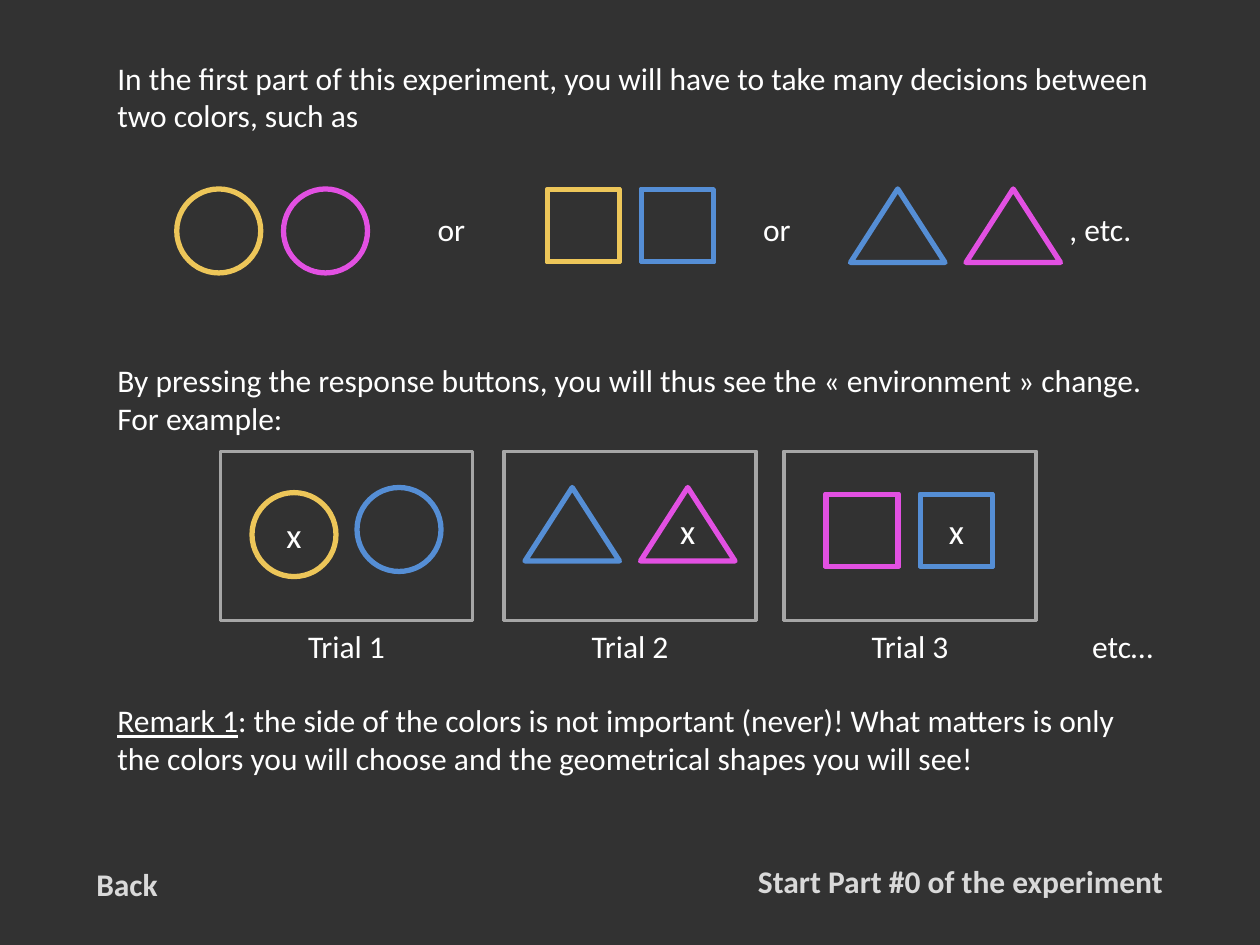
from lxml import etree
from pptx import Presentation
from pptx.dml.color import RGBColor
from pptx.enum.shapes import MSO_SHAPE
from pptx.enum.text import MSO_AUTO_SIZE, PP_ALIGN
from pptx.oxml.ns import qn
from pptx.util import Pt

LEFT, MID = PP_ALIGN.LEFT, PP_ALIGN.CENTER
FIT = MSO_AUTO_SIZE.SHAPE_TO_FIT_TEXT
RING, SQUARE = MSO_SHAPE.OVAL, MSO_SHAPE.FRAME
TRI = MSO_SHAPE.ISOSCELES_TRIANGLE

COLORS = {"back": "323232", "white": "FFFFFF", "pale": "D9D9D9",
          "gray": "A6A6A6", "card": "404040", "gold": "EDC659",
          "pink": "E250E2", "blue": "558ED5"}
FONT = "Calibri"

# preset: width, height, line width, frame thickness
FORMS = {RING: (48, 48, 3, None), SQUARE: (42, 42, 2, 0.022),
         TRI: (54, 42, 3, None)}

# space before, runs as (text, underlined)
BODY = [
    (0, [("In the first part of this experiment, you will have to take many "
          "decisions between two colors, such as", False)]),
    (43.2, [("\tor\tor\t, etc.", False)]),
    (64.8, [("By pressing the response buttons, you will thus see the "
             "«\u00a0environment\u00a0» change.", False)]),
    (0, [("For example:", False)]),
    (151.2, [("Remark 1", True),
             (": the side of the colors is not important (never)! What matters "
              "is only the colors you will choose and the geometrical shapes "
              "you will see!", False)]),
]
TABS = (183, 369, 544)

# preset, then (color, left) for each choice
TOP = 108
PAIRS = [(RING, ("gold", 101), ("pink", 162)),
         (SQUARE, ("gold", 312.5), ("blue", 366)),
         (TRI, ("blue", 486), ("pink", 552))]

# card left, preset, (color, left, top) for each choice, chosen index, mark drop
TRIALS = [
    (126, RING, [("gold", 144, 281.5), ("blue", 204, 278.6)], 0, 0),
    (288, TRI, [("blue", 300, 278.6), ("pink", 366, 278.6)], 1, 4),
    (448, SQUARE, [("pink", 471.6, 282.2), ("blue", 525.6, 282.2)], 1, 0),
]
CARD_TOP, CARD_W, CARD_H = 258, 144, 96.5
LABEL_TOP, LABEL_W, LABEL_H = 355, 59, 29
MARK_W, MARK_H = 23, 31.6


def rgb(name):
    """Return the named color."""
    return RGBColor.from_string(COLORS[name])


def add_run(para, text, size=18, color="white", bold=False, under=False):
    """Add one formatted run to a paragraph."""
    run = para.add_run()
    run.text = text
    font = run.font
    font.name, font.size, font.bold, font.underline = FONT, Pt(size), bold, under
    font.color.rgb = rgb(color)


def add_label(text, left, top, width, height=LABEL_H, align=LEFT, **style):
    """Place a single line of text."""
    box = slide.shapes.add_textbox(Pt(left), Pt(top), Pt(width), Pt(height))
    frame = box.text_frame
    frame.word_wrap, frame.auto_size = False, FIT
    para = frame.paragraphs[0]
    para.alignment = align
    add_run(para, text, **style)


def add_form(kind, color, left, top, width, height, line, thick=None, fill=None):
    """Draw an outlined preset shape."""
    form = slide.shapes.add_shape(kind, Pt(left), Pt(top), Pt(width), Pt(height))
    form.shadow.inherit = False
    if thick is not None:
        form.adjustments[0] = thick
    if fill:
        form.fill.solid()
        form.fill.fore_color.rgb = rgb(fill)
    else:
        form.fill.background()
    form.line.color.rgb = rgb(color)
    form.line.width = Pt(line)


def add_body():
    """Write the instructions, with tab stops for the row of choices."""
    box = slide.shapes.add_textbox(Pt(60), Pt(30), Pt(612), Pt(422))
    frame = box.text_frame
    frame.word_wrap = True
    for i, (gap, runs) in enumerate(BODY):
        para = frame.add_paragraph() if i else frame.paragraphs[0]
        para.space_before = Pt(gap)
        for text, under in runs:
            add_run(para, text, under=under)
        if "\t" in runs[0][0]:
            stops = etree.SubElement(para._p.get_or_add_pPr(), qn("a:tabLst"))
            for stop in TABS:
                etree.SubElement(stops, qn("a:tab"), pos=str(Pt(stop)), algn="l")


def add_trial(num, card, kind, picks, chosen, drop):
    """Draw one trial: card, two choices, mark and caption."""
    add_form(SQUARE, "gray", card, CARD_TOP, CARD_W, CARD_H, 2, 0, "card")
    for color, left, top in picks:
        add_form(kind, color, left, top, *FORMS[kind])
    _, left, top = picks[chosen]
    width, height = FORMS[kind][:2]
    add_label("x", left + (width - MARK_W) / 2,
              top + (height - MARK_H) / 2 + drop, MARK_W, MARK_H, MID, size=20)
    add_label(f"Trial {num}", card + (CARD_W - LABEL_W) / 2, LABEL_TOP,
              LABEL_W, align=MID)


deck = Presentation()
deck.slide_width, deck.slide_height = Pt(720), Pt(540)
slide = deck.slides.add_slide(deck.slide_layouts[6])
slide.background.fill.solid()
slide.background.fill.fore_color.rgb = rgb("back")

add_body()
for kind, *picks in PAIRS:
    for color, left in picks:
        add_form(kind, color, left, TOP, *FORMS[kind])
for num, trial in enumerate(TRIALS, 1):
    add_trial(num, *trial)
add_label("etc…", 616.5, LABEL_TOP, 50, align=MID)
add_label("Start Part #0 of the experiment", 426, 489, 248.5,
          color="pale", bold=True)
add_label("Back", 48, 490.5, 50, color="pale", bold=True)

deck.save("out.pptx")
